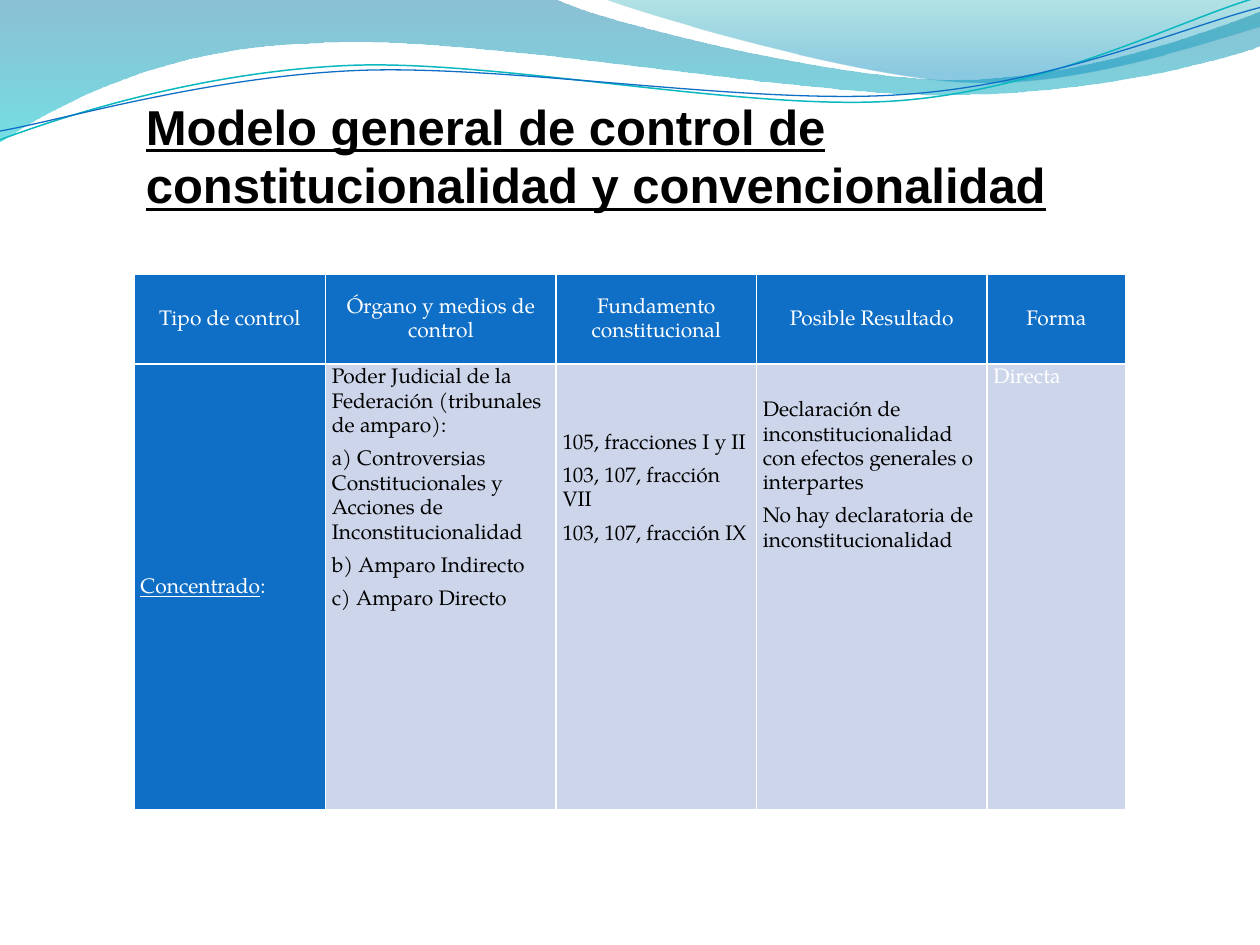
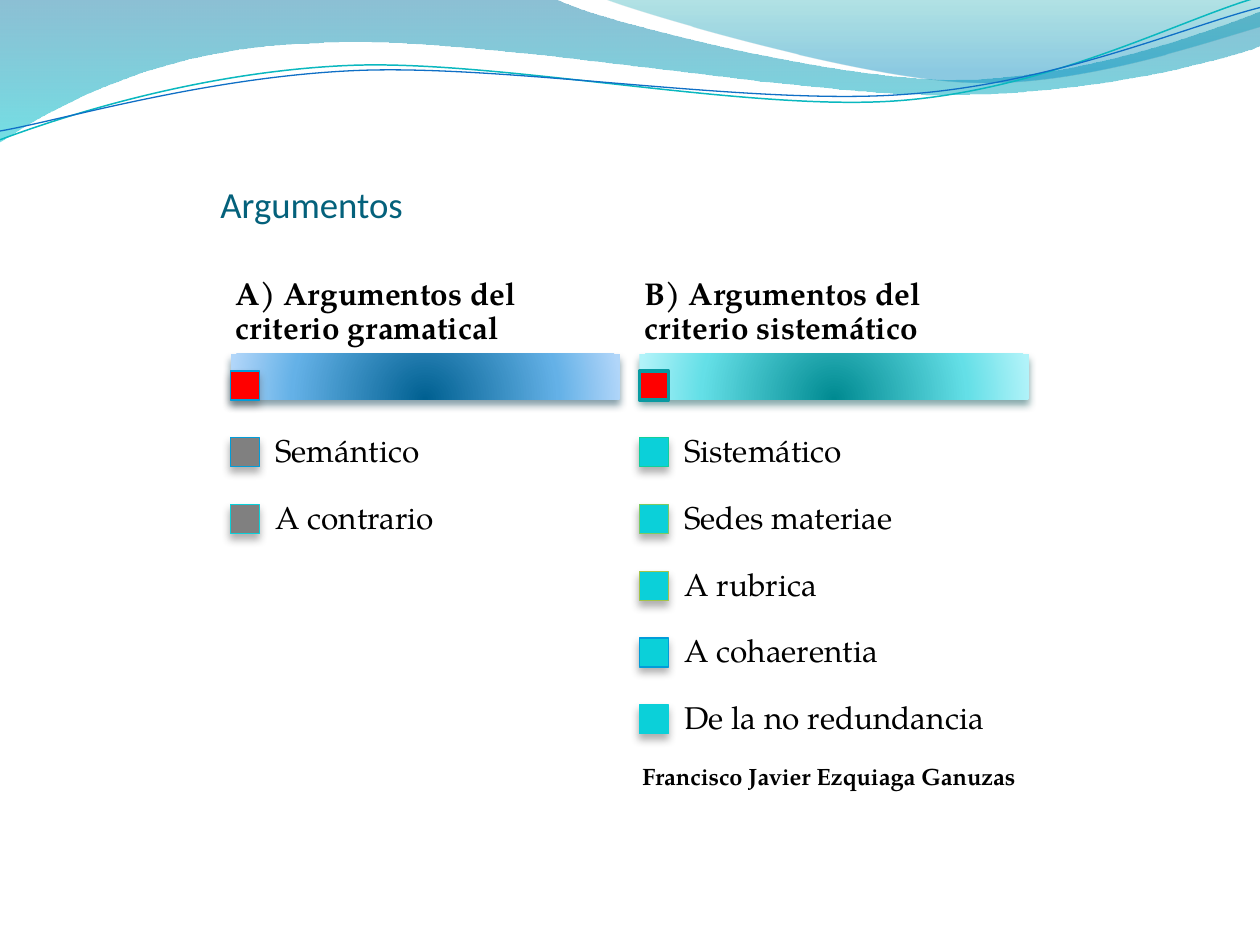
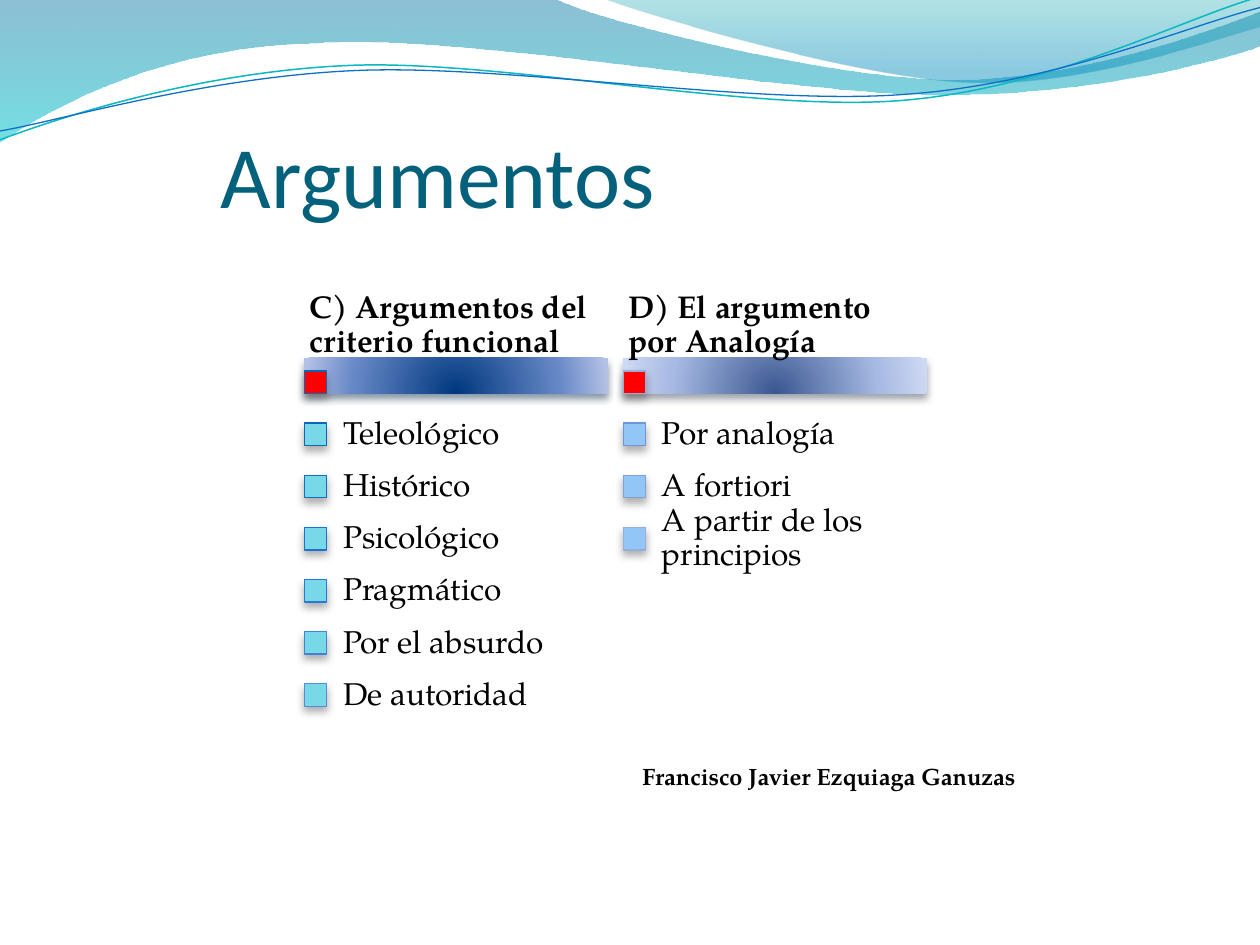
"""Build three slides on constitutional control and legal arguments under a shared wave header."""
import pptx
import pptx.dml.color
import pptx.enum.shapes
import pptx.enum.text
import pptx.oxml
import pptx.oxml.ns
import pptx.util

SERIF = "TeX Gyre Pagella"
BLACK, WHITE, BLUE, PALE, TEAL, RED = "000000", "FFFFFF", "0F6FC6", "CCD5EA", "04617B", "FF0000"
TOP, MIDDLE, BOTTOM = (pptx.enum.text.MSO_ANCHOR.TOP, pptx.enum.text.MSO_ANCHOR.MIDDLE,
                       pptx.enum.text.MSO_ANCHOR.BOTTOM)
RECTANGLE = pptx.enum.shapes.MSO_SHAPE.RECTANGLE
NAMESPACE = pptx.oxml.ns.nsdecls("a")
color = pptx.dml.color.RGBColor.from_string
tag = pptx.oxml.ns.qn

deck = pptx.Presentation()
deck.slide_width, deck.slide_height = pptx.util.Inches(10), pptx.util.Inches(7.5)
column, row = deck.slide_width / 100, deck.slide_height / 75


def place(page, left, top, width, height, kind=None):
    bounds = [pptx.util.Emu(round(length)) for length in
              (left * column, top * row, width * column, height * row)]
    if kind is None:
        return page.shapes.add_textbox(*bounds)
    return page.shapes.add_shape(kind, *bounds)


def write(holder, paragraphs, size, tone=BLACK, font=SERIF, bold=False, anchor=TOP,
          margins=(0.1, 0.05, 0.1, 0.05), spacing=None, after=None, align=None):
    holder.vertical_anchor = anchor
    (holder.margin_left, holder.margin_top,
     holder.margin_right, holder.margin_bottom) = map(pptx.util.Inches, margins)
    frame = getattr(holder, "text_frame", holder)
    frame.word_wrap = True
    for index, spans in enumerate(paragraphs):
        para = frame.add_paragraph() if index else frame.paragraphs[0]
        para.alignment, para.line_spacing = align, spacing
        if after is not None:
            para.space_after = pptx.util.Pt(after)
        for text, underlined in spans:
            for number, line in enumerate(text.split("\n")):
                if number:
                    para.add_line_break()
                span = para.add_run()
                span.text = line
                span.font.name, span.font.size = font, pptx.util.Pt(size)
                span.font.bold, span.font.underline = bold, underlined
                span.font.color.rgb = color(tone)


layout = deck.slide_layouts[6]
for placeholder in list(layout.placeholders):
    layout.shapes._spTree.remove(placeholder._element)
pages = [deck.slides.add_slide(layout) for _ in range(3)]
gradients, shadows = [], []

LINEAR = '<a:lin ang="5400000" scaled="0"/>'
RADIAL = ('<a:path path="circle"><a:fillToRect l="50000" t="130000" r="50000" b="-30000"/>'
          '</a:path>')

waves = [
    ([(0, 0), (4.4, -0.01), (4.76, 0.17, 6.64, 0.63, 7.58, 0.63),
      (8.53, 0.63, 9.58, 0.26, 10, 0.09), (10.01, 0.36), (9.83, 0.44, 8.7, 0.76, 7.46, 0.75),
      (6.22, 0.75, 3.82, 0.28, 2.57, 0.34), (1.29, 0.36, 0.46, 0.83, -0.01, 1.13), (0, 0)],
     [(0, "0074A1", 45), (100, "00C6CF", 55)], None),
    ([(4.79, -0.01), (5.09, 0.11, 6.82, 0.62, 7.69, 0.65), (8.56, 0.69, 9.61, 0.32, 10, 0.21),
      (10, 0), (4.79, -0.01)],
     [(0, "00A1A9", 30), (80, "008BBF", 45)], None),
    ([(0, 1.11), (0.48, 0.93, 1.58, 0.57, 2.77, 0.52), (3.95, 0.47, 5.93, 0.89, 7.13, 0.8),
      (8.33, 0.71, 9.38, 0.15, 9.98, -0.02)], None, ("0AB8BF", 0.85)),
    ([(0, 1.04), (0.47, 0.96, 1.64, 0.61, 2.83, 0.56), (4.03, 0.51, 5.97, 0.84, 7.17, 0.75),
      (8.36, 0.67, 9.41, 0.21, 10, 0.06)], None, (BLUE, 0.75)),
]
bands = []
for segments, stops, stroke in waves:
    points = [(segment[i] * 10 * column, segment[i + 1] * 10 * row)
              for segment in segments for i in range(0, len(segment), 2)]
    builder = pages[0].shapes.build_freeform(*points[0])
    builder.add_line_segments(points[1:], close=stops is not None)
    band = builder.convert_to_shape()
    outline = next(band._element.iter(tag("a:path")))
    corners = iter(outline.findall(tag("a:lnTo")))
    for segment in segments[1:]:
        corner = next(corners)
        if len(segment) == 6:
            curve = pptx.oxml.parse_xml(f'<a:cubicBezTo {NAMESPACE}/>')
            corner.addprevious(curve)
            for control in (corner, next(corners), next(corners)):
                curve.append(control[0])
                outline.remove(control)
    band.shadow.inherit = False
    if stops:
        gradients.append((band, stops, LINEAR))
        band.line.fill.background()
    else:
        band.fill.background()
        band.line.color.rgb, band.line.width = color(stroke[0]), pptx.util.Pt(stroke[1])
    bands.append(band)
for band in bands:
    layout.shapes._spTree.append(band._element)

title = place(pages[0], 10.6, 7, 74.4, 13.5)
write(title.text_frame,
      [[("Modelo general de control de", True)],
       [("constitucionalidad y convencionalidad", True)]],
      28, font="Arial", bold=True, anchor=MIDDLE, margins=(0.1, 0.05, 0.1, 0.34))

column_widths, row_heights = [15.2, 18.3, 15.9, 18.3, 11], [7.1, 35.4]
headings = ["Tipo de control", "Órgano y medios de control", "Fundamento\nconstitucional",
            "Posible Resultado", "Forma"]
details = [
    [[("Concentrado", True), (":", False)]],
    [[("Poder Judicial de la Federación (tribunales de amparo):", False)],
     [("a) Controversias Constitucionales y Acciones de Inconstitucionalidad", False)],
     [("b) Amparo Indirecto", False)],
     [("c) Amparo Directo", False)]],
    [[("105, fracciones I y II", False)],
     [("103, 107, fracción VII", False)],
     [("103, 107, fracción IX", False)]],
    [[("Declaración de inconstitucionalidad con efectos generales o interpartes", False)],
     [("No hay declaratoria de inconstitucionalidad", False)]],
    [[("Directa", False)]],
]
lines_down = [0, 0, 2, 1, 0]
table = pages[0].shapes.add_table(
    2, 5, *[pptx.util.Emu(round(length)) for length in
            (10.65 * column, 21.8 * row, sum(column_widths) * column,
             sum(row_heights) * row)]).table
table.horz_banding = False
for index, height in enumerate(row_heights):
    table.rows[index].height = pptx.util.Emu(round(height * row))
for index, width in enumerate(column_widths):
    table.columns[index].width = pptx.util.Emu(round(width * column))
    header, body = table.cell(0, index), table.cell(1, index)
    write(header, [[(headings[index], False)]], 12, WHITE, anchor=MIDDLE,
          margins=(0.05, 0.01, 0.05, 0.01), spacing=1.15, after=5,
          align=pptx.enum.text.PP_ALIGN.CENTER)
    write(body, details[index], 12, WHITE if index in (0, 4) else BLACK,
          anchor=TOP if index else MIDDLE,
          margins=(0.05, 0.01 + 0.26 * lines_down[index], 0.05, 0.01), spacing=1.15, after=5)
    for cell, tone in ((header, BLUE), (body, PALE if index else BLUE)):
        cell.fill.solid()
        cell.fill.fore_color.rgb = color(tone)
        properties = cell._tc.get_or_add_tcPr()
        for position, side in enumerate("LRTB"):
            properties.insert(position, pptx.oxml.parse_xml(
                f'<a:ln{side} {NAMESPACE} w="12700"><a:solidFill><a:srgbClr val="{WHITE}"/>'
                f'</a:solidFill></a:ln{side}>'))

grammatical = ("A) Argumentos del criterio gramatical", ("006091", "64B1E7", "B1D6F9"), "00374C",
               ("009DD9", 0.75), "808080",
               [("Semántico", "009DD9"), ("A contrario", "0BD0D9")])
systematic = ("B) Argumentos del criterio sistemático", ("008A91", "64DFE7", "B1F3F9"), "024B4E",
              ("089AA1", 2), "0BD0D9",
              [("Sistemático", "10CF9B"), ("Sedes materiae", "7CCA62"), ("A rubrica", "A5C249"),
               ("A cohaerentia", "009DD9"), ("De la no redundancia", "0BD0D9")])
functional = ("C) Argumentos del criterio funcional", ("00387E", "6788C7", "B5C2E6"), "032341",
              ("0E65B4", 0.75), "77D9E8",
              [("Teleológico", "0E65B4"), ("Histórico", "156CC3"), ("Psicológico", "1D72D1"),
               ("Pragmático", "2879DB"), ("Por el absurdo", "4181D8"), ("De autoridad", "588BD7")])
analogy = ("D) El argumento por Analogía", ("3B5791", "A7BAE3", "CDD8F3"), "353D4D",
           ("98ADD9", 0.75), "91C6F7",
           [("Por analogía", "6E96D6"), ("A fortiori", "84A1D7"),
            ("A partir de los principios", "98ADD9")])

argument_pages = [
    (pages[1], 21, 18.3, 28.1, 1, [grammatical, systematic]),
    (pages[2], 50, 24.15, 28.4, 0.78, [functional, analogy]),
]
for page, title_size, first_left, bar_top, scale, lists in argument_pages:
    title = place(page, 17.5, 8.55, 57.6, 9.4)
    write(title.text_frame, [[("Argumentos", False)]], title_size, TEAL, "Calibri",
          anchor=BOTTOM, margins=(0, 0.05, 0, 0))
    for number, (heading, tones, bar_shadow, red_line, fill, items) in enumerate(lists):
        left = first_left + number * 32.45 * scale
        bar = place(page, left, bar_top, 30.9 * scale, 3.6 * scale, RECTANGLE)
        bar.line.fill.background()
        gradients.append((bar, [(stop, tone, 100) for stop, tone in zip((0, 68, 100), tones)],
                          RADIAL))
        shadows.append((bar, bar_shadow))
        squares = [(bar_top + 1.35 * scale, RED, *red_line)]

        box = place(page, left, bar_top - 6.55 * scale, 30.9 * scale, 6.5 * scale)
        write(box.text_frame, [[(heading, False)]], 18, bold=True, anchor=MIDDLE,
              margins=(0.04, 0.03, 0.04, 0.03), spacing=0.9)
        for index, (item, edge) in enumerate(items):
            item_top = bar_top + (5.15 + 5.3 * index) * scale
            squares.append((item_top + 1.5 * scale, fill, edge, 0.75))
            box = place(page, left + 2.15 * scale, item_top, 28.8 * scale, 5.3 * scale)
            write(box.text_frame, [[(item, False)]], 18, anchor=MIDDLE,
                  margins=(0.14, 0.14, 0.14, 0.14), spacing=0.9)
        for top, tone, edge, weight in squares:
            square = place(page, left, top, 2.3 * scale, 2.3 * scale, RECTANGLE)
            square.fill.solid()
            square.fill.fore_color.rgb = color(tone)
            square.line.color.rgb, square.line.width = color(edge), pptx.util.Pt(weight)
            square.shadow.inherit = False
            if weight < 1:
                shadows.append((square, "5A5A5A"))
    credit = place(page, 50, 59.95, 33, 3.3)
    write(credit.text_frame, [[("Francisco Javier Ezquiaga Ganuzas", False)]], 13.5, bold=True)

for shape, stops, direction in gradients:
    shape.fill.gradient()
    properties = shape._element.spPr
    stop_xml = "".join(
        f'<a:gs pos="{stop * 1000}"><a:srgbClr val="{tone}"><a:alpha val="{opacity * 1000}"/>'
        f'</a:srgbClr></a:gs>' for stop, tone, opacity in stops)
    properties.replace(properties.find(tag("a:gradFill")), pptx.oxml.parse_xml(
        f'<a:gradFill {NAMESPACE} rotWithShape="1"><a:gsLst>{stop_xml}</a:gsLst>{direction}'
        f'</a:gradFill>'))

for shape, tone in shadows:
    shape.shadow.inherit = False
    effects = shape._element.spPr.find(tag("a:effectLst"))
    effects.append(pptx.oxml.parse_xml(
        f'<a:outerShdw {NAMESPACE} blurRad="57150" dist="38100" dir="5400000" algn="ctr" '
        f'rotWithShape="0"><a:srgbClr val="{tone}"><a:alpha val="48000"/></a:srgbClr>'
        f'</a:outerShdw>'))

deck.save("out.pptx")
